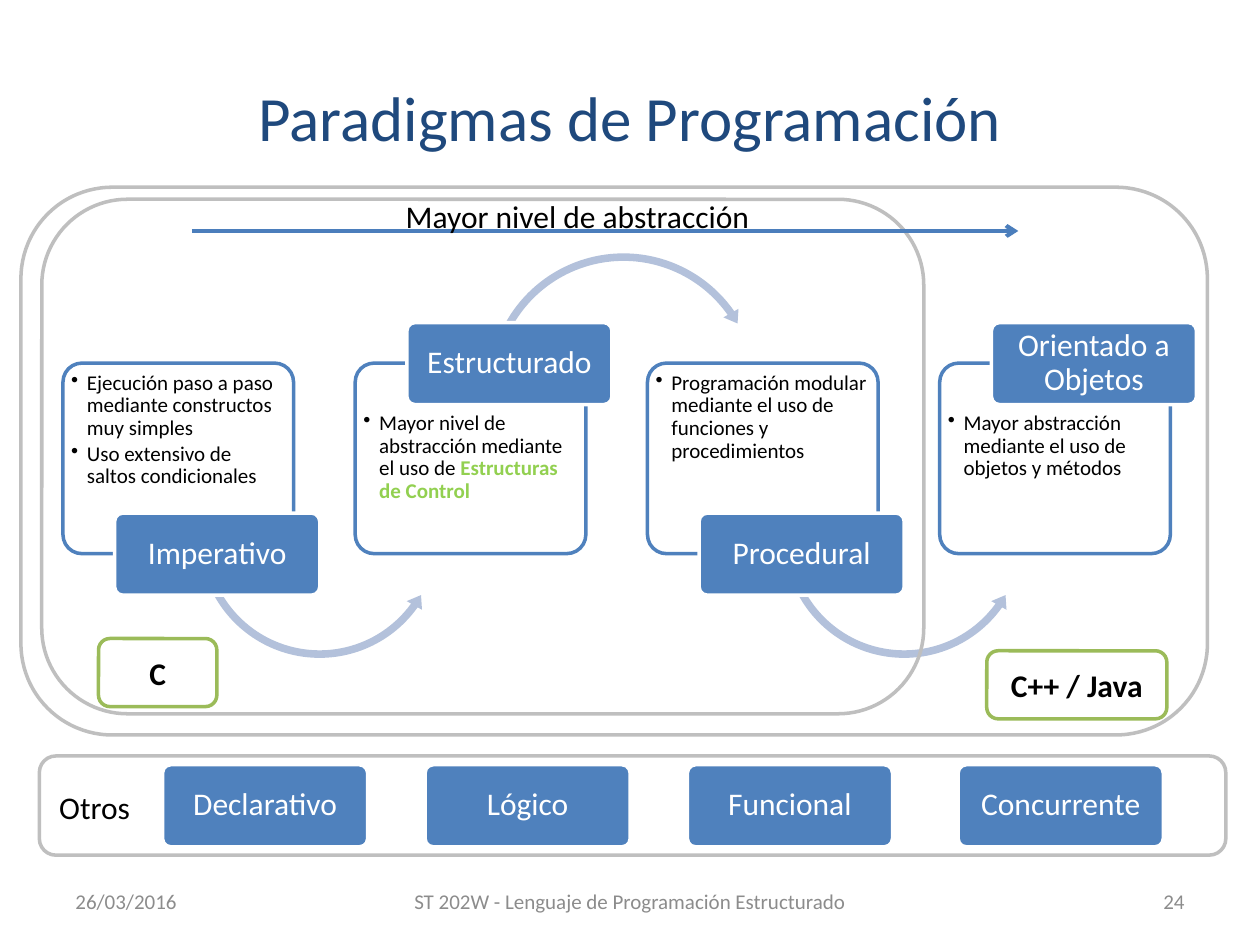
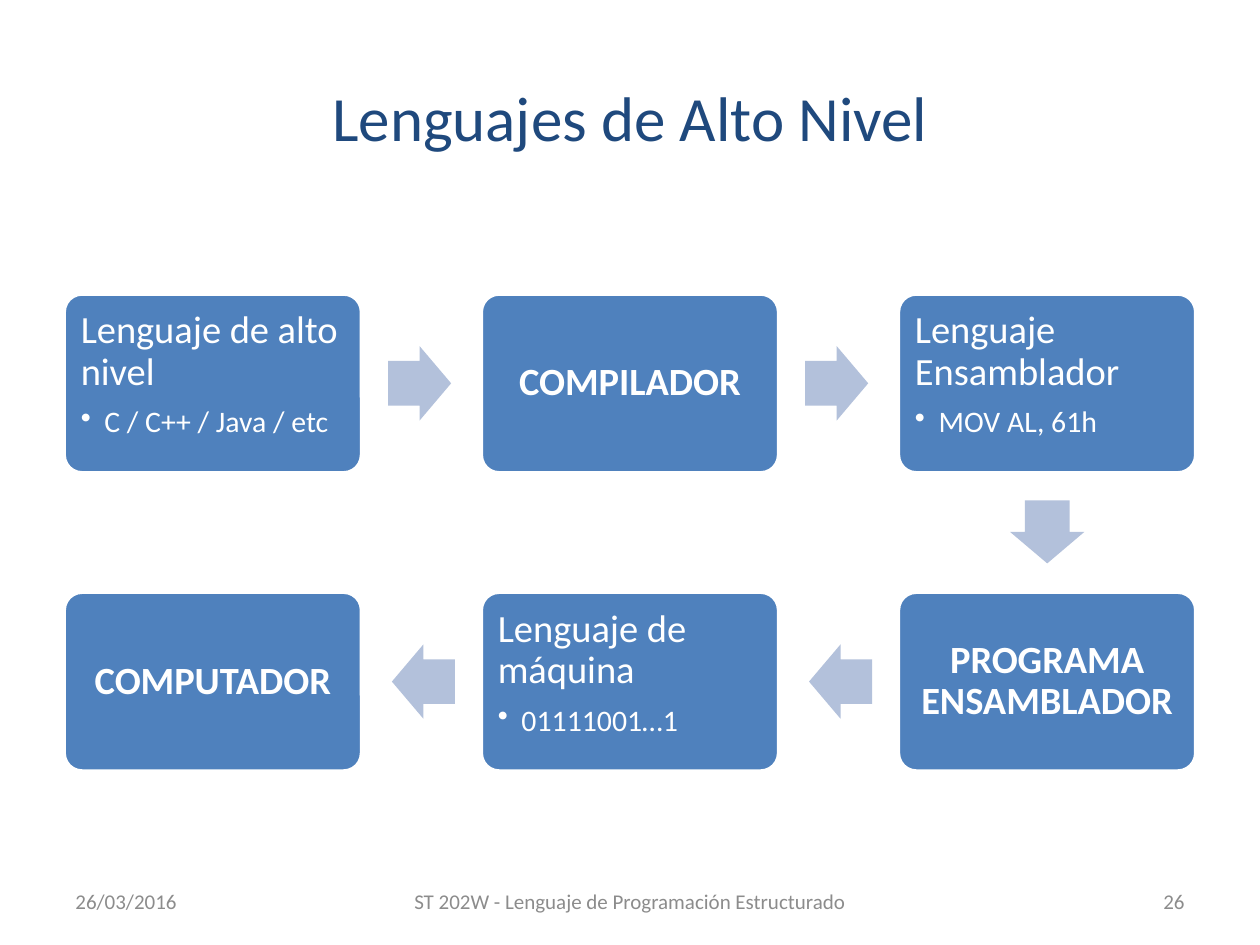
from lxml import etree
from pptx import Presentation
from pptx.dml.color import RGBColor
from pptx.enum.shapes import MSO_CONNECTOR, MSO_SHAPE
from pptx.enum.text import MSO_ANCHOR, PP_ALIGN
from pptx.oxml.ns import qn
from pptx.util import Pt

NAVY = RGBColor(0x1F, 0x49, 0x7D)
BLUE = RGBColor(0x4F, 0x81, 0xBD)
STEEL = RGBColor(0x4B, 0x7E, 0xBC)
PALE = RGBColor(0xB3, 0xC1, 0xDB)
GREEN = RGBColor(0x9B, 0xBB, 0x59)
LIME = RGBColor(0x92, 0xD0, 0x50)
SILVER = RGBColor(0xBF, 0xBF, 0xBF)
GREY = RGBColor(0x8C, 0x8C, 0x8C)
WHITE = RGBColor(0xFF, 0xFF, 0xFF)
BLACK = RGBColor(0, 0, 0)

ROUND = MSO_SHAPE.ROUNDED_RECTANGLE
ARROW = MSO_SHAPE.RIGHT_ARROW
OVER = MSO_SHAPE.CIRCULAR_ARROW
UNDER = MSO_SHAPE.LEFT_CIRCULAR_ARROW
LEFT, MID, RIGHT = PP_ALIGN.LEFT, PP_ALIGN.CENTER, PP_ALIGN.RIGHT
TOP, CENTER = MSO_ANCHOR.TOP, MSO_ANCHOR.MIDDLE

FONT = "Calibri"
COURSE = "ST 202W - Lenguaje de Programación Estructurado"
DATE = "26/03/2016"


# Shared helpers
def assign(target, **values):
    for name, value in values.items():
        setattr(target, name, value)


def place(box):
    return [Pt(v) for v in box]


def add_run(para, text, size, color, bold=False):
    run = para.add_run()
    run.text = text
    assign(run.font, name=FONT, size=Pt(size), bold=bold)
    run.font.color.rgb = color


def add_bullet(para, indent):
    props = para._p.get_or_add_pPr()
    props.set("marL", str(Pt(indent)))
    props.set("indent", str(-Pt(indent)))
    etree.SubElement(props, qn("a:buChar")).set("char", "•")


def set_frame(frame, anchor=CENTER, pad=(7.2, 3.6, 7.2, 3.6), wrap=True):
    sides = ("left", "top", "right", "bottom")
    assign(frame, word_wrap=wrap, vertical_anchor=anchor,
           **{f"margin_{s}": Pt(v) for s, v in zip(sides, pad)})
    return frame


def add_label(slide, box, text, size, color, align=LEFT, anchor=CENTER, wrap=True):
    frame = set_frame(slide.shapes.add_textbox(*place(box)).text_frame, anchor, wrap=wrap)
    para = frame.paragraphs[0]
    para.alignment = align
    add_run(para, text, size, color)


def add_form(slide, kind, box, fill=None, line=None, adj=(), turn=0):
    form = slide.shapes.add_shape(kind, *place(box))
    form.shadow.inherit = False
    form.rotation = turn
    for i, value in enumerate(adj):
        form.adjustments[i] = value
    if fill is None:
        form.fill.background()
    else:
        form.fill.solid()
        form.fill.fore_color.rgb = fill
    if line is None:
        form.line.fill.background()
    else:
        form.line.color.rgb = line
        form.line.width = Pt(2)
    return form


def add_block(slide, box, text, size, pad, bold=False):
    form = add_form(slide, ROUND, box, BLUE, WHITE, (0.1,))
    para = set_frame(form.text_frame, pad=pad).paragraphs[0]
    assign(para, alignment=MID, line_spacing=0.9)
    add_run(para, text, size, WHITE, bold)


def start_slide(deck, title, number):
    slide = deck.slides.add_slide(deck.slide_layouts[5])
    head = slide.shapes.title
    spots = place((36, 21.6, 648, 90))
    assign(head, **dict(zip(("left", "top", "width", "height"), spots)))
    para = set_frame(head.text_frame).paragraphs[0]
    para.alignment = MID
    add_run(para, title, 36, NAVY)
    for x, w, text, align in ((36, 168, DATE, LEFT), (222, 276, COURSE, MID),
                              (516, 168, number, RIGHT)):
        add_label(slide, (x, 500.5, w, 28.75), text, 12, GREY, align)
    return slide


# Paradigms: cards with their heads and curved arrows
HEAD_W, HEAD_H = 117.2, 46.9
HEAD_PAD = (2.7, 1.8, 2.7, 1.8)
CURVES = {
    OVER: ((73.4, -65.5, 159.8, 159.8), (0.027, 3.23, 195.015, 125.755, 0.031)),
    UNDER: ((75, 28, 143.3, 143.3), (0.03, 3.637, 21.392, 90.245, 0.035)),
}
CARDS = (
    ("Imperativo", False, UNDER,
     [[("Ejecución paso a paso mediante constructos muy simples", BLACK)],
      [("Uso extensivo de saltos condicionales", BLACK)]]),
    ("Estructurado", True, OVER,
     [[("Mayor nivel de abstracción mediante el uso de ", BLACK),
       ("Estructuras de Control", LIME)]]),
    ("Procedural", False, UNDER,
     [[("Programación modular mediante el uso de funciones y procedimientos", BLACK)]]),
    ("Orientado a Objetos", True, None,
     [[("Mayor abstracción mediante el uso de objetos y métodos", BLACK)]]),
)


def add_card(slide, box, name, high, curve, items):
    x, y, w, h = box
    form = add_form(slide, ROUND, box, WHITE, BLUE, (0.1,))
    pad = (1.5, 25 if high else 1.9, 1.5, 1.9)
    frame = set_frame(form.text_frame, TOP, pad)
    for i, runs in enumerate(items):
        para = frame.add_paragraph() if i else frame.paragraphs[0]
        add_bullet(para, 9)
        assign(para, alignment=LEFT, line_spacing=0.9, space_after=Pt(1.8))
        for text, color in runs:
            add_run(para, text, 12, color, color == LIME)
    if curve:
        (dx, dy, cw, ch), adj = CURVES[curve]
        add_form(slide, curve, (x + dx, y + dy, cw, ch), PALE, adj=adj)
    top = y - 23.2 if high else y + h - 23.2
    add_block(slide, (x + 29.5, top, HEAD_W, HEAD_H), name, 18, HEAD_PAD)


def add_cards(slide, box):
    x, y, w, h = box
    step = (w - 131.8) / (len(CARDS) - 1)
    for i, card in enumerate(CARDS):
        add_card(slide, (x + i * step, y, 131.8, h), *card)


# Language frames, each with its tag
def add_scope(slide, box, tag, text):
    add_form(slide, ROUND, box, line=SILVER)
    x, y = box[:2]
    dx, dy, w, h = tag
    form = add_form(slide, ROUND, (x + dx, y + dy, w, h), WHITE, GREEN)
    para = set_frame(form.text_frame).paragraphs[0]
    para.alignment = MID
    add_run(para, text, 18, BLACK, True)


# Abstraction axis
def add_axis(slide, box):
    x, y, w, h = box
    line = slide.shapes.add_connector(
        MSO_CONNECTOR.STRAIGHT, *place((x, y + h, x + w, y + h)))
    line.line.color.rgb = STEEL
    line.line.width = Pt(2.25)
    etree.SubElement(line.line._get_or_add_ln(), qn("a:tailEnd")).set("type", "arrow")
    etree.SubElement(line._element.spPr, qn("a:effectLst"))
    add_label(slide, (x + 115.2, y, 213, 29), "Mayor nivel de abstracción",
              18, BLACK, anchor=TOP, wrap=False)


# Strip of other paradigms
def add_others(slide, box):
    x, y, w, h = box
    for dx, name in ((70.4, "Declarativo"), (220.4, "Lógico"),
                     (370.3, "Funcional"), (525, "Concurrente")):
        add_block(slide, (x + dx, y + 5, HEAD_W, HEAD_H), name, 18, HEAD_PAD)
    add_form(slide, ROUND, box, line=SILVER)
    add_label(slide, (x + 4.3, y + 14.6, 55.4, 29), "Otros", 18, BLACK,
              anchor=TOP, wrap=False)


# Flow from source code to machine
STEPS = (
    ("Lenguaje de alto nivel", "C / C++ / Java / etc"),
    ("COMPILADOR", None),
    ("Lenguaje Ensamblador", "MOV AL, 61h"),
    ("PROGRAMA ENSAMBLADOR", None),
    ("Lenguaje de máquina", "01111001…1"),
    ("COMPUTADOR", None),
)
STEP_W, STEP_H = 169.9, 102.2
STEP_PAD = (6.5,) * 4


def add_step(slide, box, name, sample):
    if not sample:
        add_block(slide, box, name, 22, STEP_PAD, True)
        return
    form = add_form(slide, ROUND, box, BLUE, WHITE, (0.1,))
    frame = set_frame(form.text_frame, TOP, STEP_PAD)
    first, second = frame.paragraphs[0], frame.add_paragraph()
    assign(first, alignment=LEFT, line_spacing=0.9, space_after=Pt(7.7))
    add_run(first, name, 22, WHITE)
    add_bullet(second, 13.5)
    assign(second, alignment=LEFT, line_spacing=0.9)
    add_run(second, sample, 17, WHITE)


def add_flow(slide, box):
    x, y, w, h = box
    across, down = (w - STEP_W) / 2, h - STEP_H
    for i, (name, sample) in enumerate(STEPS):
        row, rank = divmod(i, 3)
        col = 2 - rank if row else rank
        left, top = x + col * across, y + row * down
        add_step(slide, (left, top, STEP_W, STEP_H), name, sample)
        if i == len(STEPS) - 1:
            continue
        if rank == 2:
            dx, dy, turn = 67, 114.7, 90
        elif row:
            dx, dy, turn = -51.1, 29.8, 180
        else:
            dx, dy, turn = 185.1, 29.8, 0
        add_form(slide, ARROW, (left + dx, top + dy, 36, 42.5), PALE,
                 adj=(0.6, 0.5), turn=turn)


def main():
    deck = Presentation()
    deck.slide_width, deck.slide_height = Pt(720), Pt(540)

    slide = start_slide(deck, "Paradigmas de Programación", "24")
    add_cards(slide, (36, 207.5, 632.8, 108.9))
    add_scope(slide, (23.9, 113.9, 504, 294), (32.4, 251, 67.6, 38.9), "C")
    add_scope(slide, (12, 107, 678, 313), (551.9, 264.9, 102.9, 38.9), "C++ / Java")
    add_axis(slide, (109.6, 109, 472.3, 23))
    add_others(slide, (22.5, 432, 678, 56.7))

    slide = start_slide(deck, "Lenguajes de Alto Nivel", "26")
    add_flow(slide, (36.7, 168, 646.6, 272.6))
    deck.save("out.pptx")


if __name__ == "__main__":
    main()
